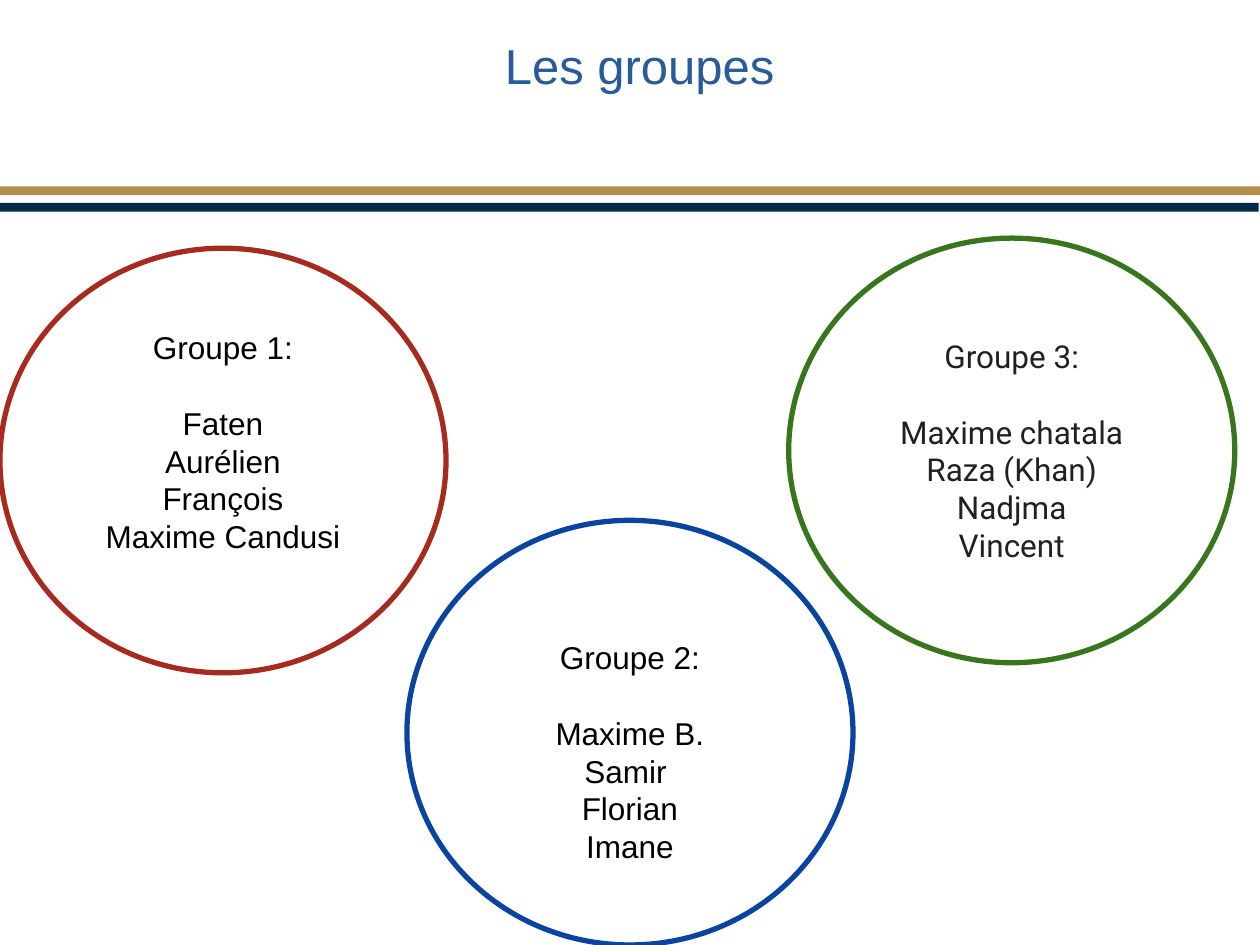
from pptx import Presentation
from pptx.dml.color import RGBColor
from pptx.enum.shapes import MSO_SHAPE
from pptx.enum.text import MSO_ANCHOR, PP_ALIGN
from pptx.util import Inches, Pt

NAVY = RGBColor(0x00, 0x2B, 0x49)
GOLD = RGBColor(0xB3, 0x8E, 0x4B)
BLUE_TITLE = RGBColor(0x28, 0x5B, 0x99)
RED = RGBColor(0xA7, 0x2A, 0x1E)
GREEN = RGBColor(0x38, 0x76, 0x1D)
BLUE = RGBColor(0x09, 0x44, 0xA1)
BLACK = RGBColor(0x00, 0x00, 0x00)
CHARCOAL = RGBColor(0x20, 0x21, 0x24)

LINE_PITCH = Pt(21.6)


def add_line(p, text, font, size, color):
    p.alignment = PP_ALIGN.CENTER
    r = p.add_run()
    r.text = text
    r.font.name = font
    r.font.size = Pt(size)
    r.font.color.rgb = color


prs = Presentation()
prs.slide_width, prs.slide_height = Inches(10), Inches(7.5)
s = prs.slides.add_slide(prs.slide_layouts[6])

# Double rule under the title
for top, width, color in [(1.61, 9.99, NAVY), (1.48, 10, GOLD)]:
    sp = s.shapes.add_shape(MSO_SHAPE.RECTANGLE, 0, Inches(top), Inches(width), Inches(0.07))
    sp.shadow.inherit = False
    sp.fill.solid()
    sp.fill.fore_color.rgb = color
    sp.line.fill.background()

title = s.shapes.add_textbox(Inches(0.76), Inches(0.23), Inches(8.74), Inches(1.18))
title.text_frame.word_wrap = True
add_line(title.text_frame.paragraphs[0], "Les groupes ", "Arial", 28, BLUE_TITLE)

# Circles: left, top, outline, font, text colour, top inset, bottom inset, lines
groups = [
    (6.26, 1.89, GREEN, "Roboto", CHARCOAL, 0.1, 0.1,
     ["Groupe 3:", "Maxime chatala", "Raza (Khan)", "Nadjma", "Vincent"]),
    (0, 1.97, RED, "Arial", BLACK, 0.1, 0.4,
     ["Groupe 1:", "Faten", "Aurélien", "François", "Maxime Candusi"]),
    (3.23, 4.13, BLUE, "Arial", BLACK, 0.4, 0.1,
     ["Groupe 2:", "Maxime B.", "Samir ", "Florian", "Imane"]),
]
for left, top, outline, font, color, inset_top, inset_bottom, lines in groups:
    sp = s.shapes.add_shape(MSO_SHAPE.OVAL, Inches(left), Inches(top), Inches(3.54), Inches(3.37))
    sp.shadow.inherit = False
    sp.fill.background()
    sp.line.color.rgb = outline
    sp.line.width = Pt(3)
    tf = sp.text_frame
    frame_format = {
        "word_wrap": True,
        "vertical_anchor": MSO_ANCHOR.MIDDLE,
        "margin_left": Inches(0.1),
        "margin_right": Inches(0.1),
        "margin_top": Inches(inset_top),
        "margin_bottom": Inches(inset_bottom),
    }
    for name, value in frame_format.items():
        setattr(tf, name, value)
    for i, text in enumerate(lines):
        p = tf.add_paragraph() if i else tf.paragraphs[0]
        p.line_spacing = LINE_PITCH
        add_line(p, text, font, 18, color)
    tf.paragraphs[0].space_after = LINE_PITCH

prs.save("out.pptx")
